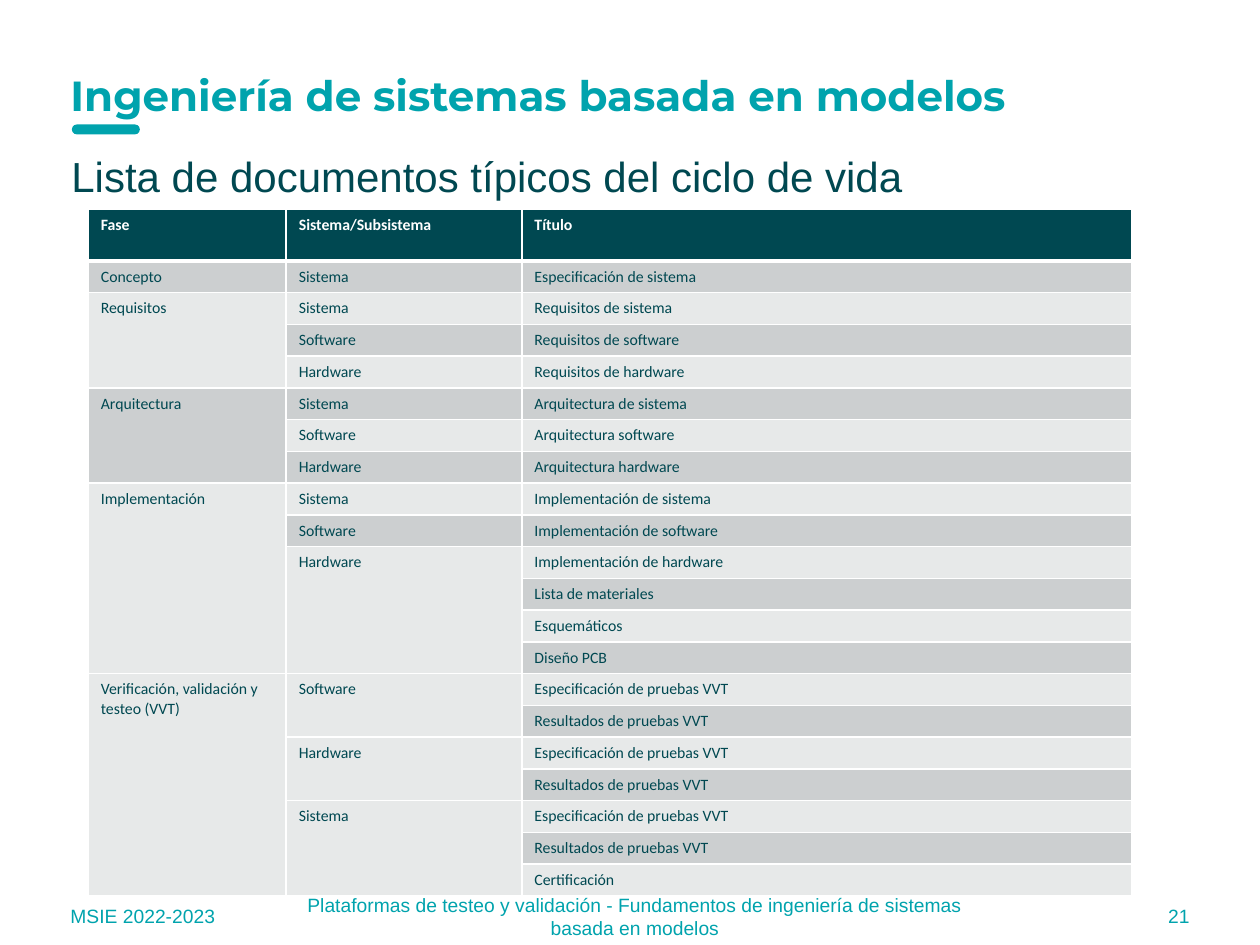
from dataclasses import dataclass

from lxml.etree import SubElement
from pptx import Presentation
from pptx.dml.color import RGBColor
from pptx.enum.shapes import MSO_SHAPE
from pptx.enum.text import MSO_ANCHOR, PP_ALIGN
from pptx.oxml.ns import qn
from pptx.util import Cm, Pt


@dataclass(frozen=True)
class Theme:
    """Colours, fonts and type sizes of the slide."""
    accent: str = "00A3AD"
    dark: str = "004851"
    light: str = "FFFFFF"
    bands: tuple = ("E7E9E9", "CCCFD0")
    title_font: str = "Montserrat"
    body_font: str = "Arial"
    table_font: str = "Calibri"
    heading_size: int = 24
    footer_size: int = 11
    table_size: int = 9
    thin_border: int = 1
    thick_border: int = 3


THEME = Theme()

HEADERS = ("Fase", "Sistema/Subsistema", "Título")
TESTS = ("Especificación de pruebas VVT", "Resultados de pruebas VVT")
PHASES = (
    ("Concepto", (("Sistema", ("Especificación de sistema",)),)),
    ("Requisitos", (
        ("Sistema", ("Requisitos de sistema",)),
        ("Software", ("Requisitos de software",)),
        ("Hardware", ("Requisitos de hardware",)),
    )),
    ("Arquitectura", (
        ("Sistema", ("Arquitectura de sistema",)),
        ("Software", ("Arquitectura software",)),
        ("Hardware", ("Arquitectura hardware",)),
    )),
    ("Implementación", (
        ("Sistema", ("Implementación de sistema",)),
        ("Software", ("Implementación de software",)),
        ("Hardware", ("Implementación de hardware", "Lista de materiales",
                      "Esquemáticos", "Diseño PCB")),
    )),
    ("Verificación, validación y testeo (VVT)", (
        ("Software", TESTS),
        ("Hardware", TESTS),
        ("Sistema", TESTS + ("Certificación",)),
    )),
)
COLUMN_WIDTHS = (3.99, 4.75, 12.29)
HEADER_HEIGHT = 1.04
ROW_HEIGHT = 0.64


def apply_format(target, values):
    """Set each named attribute of the target."""
    for name, value in values.items():
        setattr(target, name, value)


def write_text(text_frame, text, color, font_format, alignment=PP_ALIGN.LEFT):
    """Write one formatted paragraph into a text frame."""
    paragraph = text_frame.paragraphs[0]
    paragraph.alignment = alignment
    run = paragraph.add_run()
    run.text = text
    apply_format(run.font, font_format)
    run.font.color.rgb = RGBColor.from_string(color)


def add_text(slide, box, text, color, font_format, frame_format,
             alignment=PP_ALIGN.LEFT):
    """Add a wrapping text box at the given place in centimetres."""
    shape = slide.shapes.add_textbox(*map(Cm, box))
    apply_format(shape.text_frame, {"word_wrap": True, **frame_format})
    write_text(shape.text_frame, text, color, font_format, alignment)


def add_accent_bar(slide):
    """Add the rounded bar under the title."""
    shape = slide.shapes.add_shape(MSO_SHAPE.ROUNDED_RECTANGLE,
                                   Cm(1.45), Cm(2.51), Cm(1.37), Cm(0.2))
    shape.adjustments[0] = 0.5
    shape.shadow.inherit = False
    shape.fill.solid()
    shape.fill.fore_color.rgb = RGBColor.from_string(THEME.accent)
    shape.line.fill.background()


def add_footers(slide):
    """Add the course, subject and page number along the bottom."""
    font_format = {"name": THEME.body_font, "size": Pt(THEME.footer_size)}
    footers = (
        (1.17, 3.56, "MSIE 2022-2023", PP_ALIGN.LEFT),
        (5.33, 14.94, "Plataformas de testeo y validación - Fundamentos de "
         "ingeniería de sistemas basada en modelos", PP_ALIGN.CENTER),
        (21.13, 3.1, "21", PP_ALIGN.RIGHT),
    )
    for left, width, text, alignment in footers:
        add_text(slide, (left, 17.96, width, 1.02), text, THEME.accent,
                 font_format, {"vertical_anchor": MSO_ANCHOR.MIDDLE}, alignment)


def style_cell(cell, row_index):
    """Give a cell its white borders and its band colour."""
    widths = dict.fromkeys(("a:lnL", "a:lnR", "a:lnT", "a:lnB"), THEME.thin_border)
    if row_index == 0:
        widths["a:lnB"] = THEME.thick_border
    elif row_index == 1:
        widths["a:lnT"] = THEME.thick_border
    properties = cell._tc.get_or_add_tcPr()
    for tag, width in widths.items():
        line = SubElement(properties, qn(tag), w=str(Pt(width)))
        fill = SubElement(line, qn("a:solidFill"))
        SubElement(fill, qn("a:srgbClr"), val=THEME.light)
    color = THEME.bands[row_index % 2] if row_index else THEME.dark
    cell.fill.solid()
    cell.fill.fore_color.rgb = RGBColor.from_string(color)


def fill_cell(table, row_index, column_index, text, span=1):
    """Write a cell, merging it down over the rows it spans."""
    cell = table.cell(row_index, column_index)
    if span > 1:
        cell.merge(table.cell(row_index + span - 1, column_index))
    is_header = row_index == 0
    write_text(cell.text_frame, text, THEME.light if is_header else THEME.dark,
               {"name": THEME.table_font, "size": Pt(THEME.table_size),
                "bold": is_header})


def add_document_table(slide):
    """Add the table of documents by phase and subsystem."""
    row_count = 1 + sum(len(titles) for _, systems in PHASES for _, titles in systems)
    height = HEADER_HEIGHT + ROW_HEIGHT * (row_count - 1)
    table = slide.shapes.add_table(row_count, len(HEADERS), Cm(1.78), Cm(4.22),
                                   Cm(sum(COLUMN_WIDTHS)), Cm(height)).table
    apply_format(table, {"first_row": False, "horz_banding": False})
    for column, width in zip(table.columns, COLUMN_WIDTHS):
        column.width = Cm(width)
    for row_index, row in enumerate(table.rows):
        row.height = Cm(ROW_HEIGHT if row_index else HEADER_HEIGHT)
        for cell in row.cells:
            style_cell(cell, row_index)
    for column_index, header in enumerate(HEADERS):
        fill_cell(table, 0, column_index, header)
    row_index = 1
    for phase, systems in PHASES:
        fill_cell(table, row_index, 0, phase, sum(len(titles) for _, titles in systems))
        for system, titles in systems:
            fill_cell(table, row_index, 1, system, len(titles))
            for title in titles:
                fill_cell(table, row_index, 2, title)
                row_index += 1


def main():
    """Build and save the slide."""
    presentation = Presentation()
    apply_format(presentation, {"slide_width": Cm(25.4), "slide_height": Cm(19.05)})
    slide = presentation.slides.add_slide(presentation.slide_layouts[6])
    add_accent_bar(slide)
    add_footers(slide)
    heading_size = Pt(THEME.heading_size)
    add_text(slide, (1.17, 1.32, 21.29, 1.19),
             "Ingeniería de sistemas basada en modelos", THEME.accent,
             {"name": THEME.title_font, "size": heading_size, "bold": True},
             {"vertical_anchor": MSO_ANCHOR.MIDDLE})
    add_text(slide, (1.19, 2.84, 23.06, 13.36),
             "Lista de documentos típicos del ciclo de vida", THEME.dark,
             {"name": THEME.body_font, "size": heading_size},
             {"margin_top": Cm(0.2)})
    add_document_table(slide)
    presentation.save("out.pptx")


if __name__ == "__main__":
    main()
